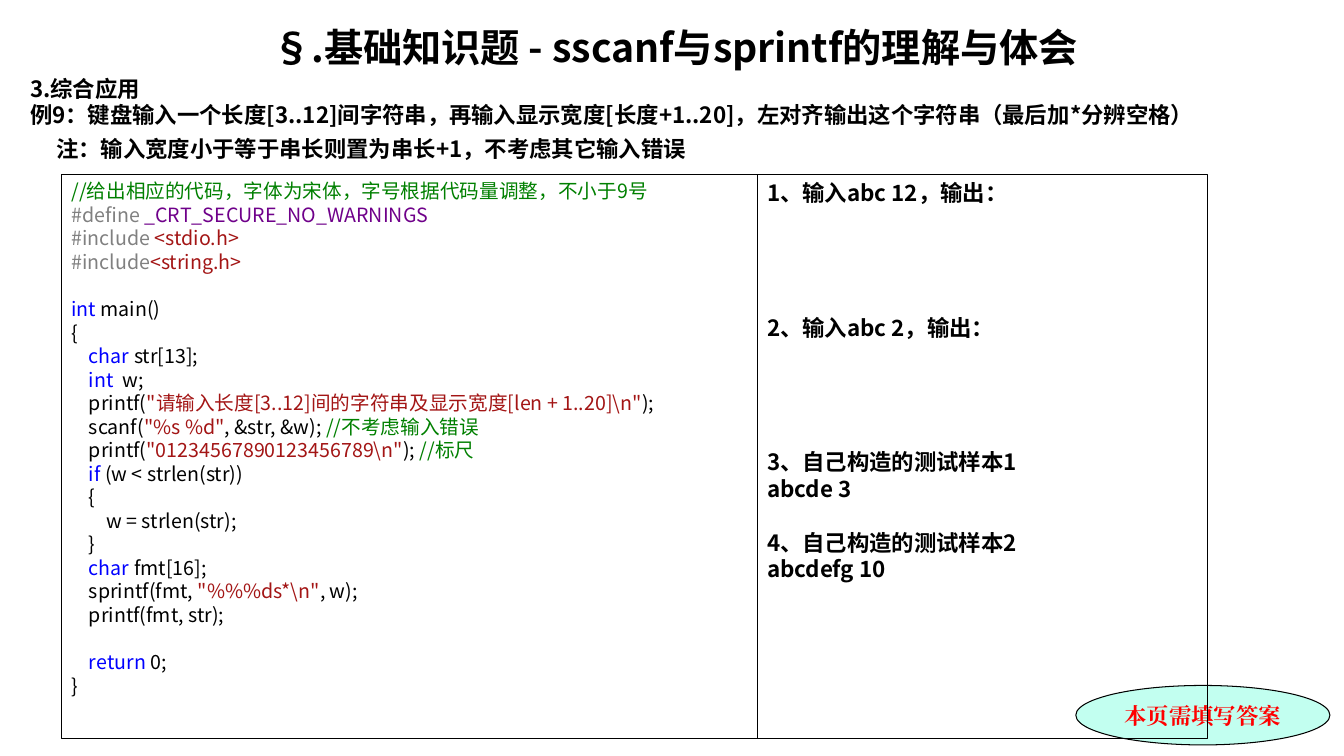
from dataclasses import dataclass
from typing import NamedTuple

from lxml import etree
from pptx import Presentation
from pptx import util as u
from pptx.dml.color import RGBColor
from pptx.enum import shapes, text
from pptx.oxml.ns import qn


@dataclass(frozen=True)
class Theme:
    black: str = "000000"
    red: str = "FF0000"
    mint: str = "C2FFF0"
    comment: str = "008000"
    directive: str = "808080"
    macro: str = "6F008A"
    literal: str = "A31515"
    keyword: str = "0000FF"
    font: str = "Noto Sans CJK SC"
    badge_font: str = "Times New Roman"
    title_size: int = 28
    body_size: int = 16
    code_size: int = 14
    outline: float = 0.75
    pitch: float = 1.2


T = Theme()


class Run(NamedTuple):
    text: str
    color: str = T.black


class Line(NamedTuple):
    runs: tuple[Run, ...]
    size: int = T.body_size
    bold: bool = True
    gap: float = 0
    indent: float = 0
    align: text.PP_ALIGN = text.PP_ALIGN.LEFT
    font: str = T.font


class Box(NamedTuple):
    left: float
    top: float
    width: float
    height: float
    lines: list[Line]
    shape: shapes.MSO_SHAPE | None = None
    fill: str | None = None
    anchor: text.MSO_ANCHOR = text.MSO_ANCHOR.TOP


def code(*runs: Run, gap: float = 0) -> Line:
    return Line(runs, T.code_size, False, gap)


def plain(words: str, **formats) -> Line:
    return Line((Run(words),), **formats)


def kw(words: str) -> Run:
    return Run(words, T.keyword)


def lit(words: str) -> Run:
    return Run(words, T.literal)


def pre(words: str) -> Run:
    return Run(words, T.directive)


def note(words: str) -> Run:
    return Run(words, T.comment)


TAB = Run("    ")

HEADING = [
    plain("§.基础知识题 - sscanf与sprintf的理解与体会",
          size=T.title_size, align=text.PP_ALIGN.CENTER),
    plain("3.综合应用", gap=0.17),
    plain("例9：键盘输入一个长度[3..12]间字符串，再输入显示宽度[长度+1..20]，"
          "左对齐输出这个字符串（最后加*分辨空格）"),
    plain("注：输入宽度小于等于串长则置为串长+1，不考虑其它输入错误",
          gap=0.25, indent=0.26),
]

LISTING = [
    code(note("//给出相应的代码，字体为宋体，字号根据代码量调整，不小于9号")),
    code(pre("#define "), Run("_CRT_SECURE_NO_WARNINGS", T.macro)),
    code(pre("#include "), lit("<stdio.h>")),
    code(pre("#include"), lit("<string.h>")),
    code(kw("int"), Run(" main()"), gap=1),
    code(Run("{")),
    code(TAB, kw("char"), Run(" str[13];")),
    code(TAB, kw("int"), Run("  w;")),
    code(Run("    printf("),
         lit(r'"请输入长度[3..12]间的字符串及显示宽度[len + 1..20]\n"'), Run(");")),
    code(Run("    scanf("), lit('"%s %d"'), Run(", &str, &w); "),
         note("//不考虑输入错误")),
    code(Run("    printf("), lit(r'"01234567890123456789\n"'), Run("); "),
         note("//标尺")),
    code(TAB, kw("if"), Run(" (w < strlen(str))")),
    code(Run("    {")),
    code(Run("        w = strlen(str);")),
    code(Run("    }")),
    code(TAB, kw("char "), Run("fmt[16];")),
    code(Run("    sprintf(fmt, "), lit(r'"%%%ds*\n"'), Run(", w);")),
    code(Run("    printf(fmt, str);")),
    code(TAB, kw("return"), Run(" 0;"), gap=1),
    code(Run("}")),
]

SAMPLES = [
    plain("1、输入abc 12，输出："),
    plain("2、输入abc 2，输出：", gap=4),
    plain("3、自己构造的测试样本1", gap=4),
    plain("abcde 3"),
    plain("4、自己构造的测试样本2", gap=1),
    plain("abcdefg 10"),
]

BADGE = [Line((Run("本页需填写答案", T.red),), align=text.PP_ALIGN.CENTER,
              font=T.badge_font)]

RECT = shapes.MSO_SHAPE.RECTANGLE
BOXES = [
    Box(0.2, 0.18, 12.99, 1.5, HEADING),
    Box(10.67, 6.8, 2.52, 0.59, BADGE, shapes.MSO_SHAPE.OVAL, T.mint,
        text.MSO_ANCHOR.MIDDLE),
    Box(0.61, 1.73, 6.9, 5.6, LISTING, RECT),
    Box(7.51, 1.73, 4.47, 5.6, SAMPLES, RECT),
]


def apply(target, formats: dict) -> None:
    for name, value in formats.items():
        setattr(target, name, value)


def write_line(p, line: Line) -> None:
    pitch = line.size * T.pitch
    apply(p, {"alignment": line.align, "line_spacing": u.Pt(pitch),
              "space_before": u.Pt(line.gap * pitch)})
    if line.indent:
        p._p.get_or_add_pPr().set("marL", str(u.Inches(line.indent)))
    for run in line.runs:
        r = p.add_run()
        r.text = run.text
        apply(r.font, {"size": u.Pt(line.size), "bold": line.bold,
                       "name": line.font})
        r.font.color.rgb = RGBColor.from_string(run.color)
        ea = etree.SubElement(r._r.get_or_add_rPr(), qn("a:ea"))
        ea.set("typeface", line.font)


def draw_box(s, box: Box) -> None:
    at = [u.Inches(v) for v in box[:4]]
    if box.shape is None:
        sp = s.shapes.add_textbox(*at)
    else:
        sp = s.shapes.add_shape(box.shape, *at)
        sp.shadow.inherit = False
        sp.line.color.rgb = RGBColor.from_string(T.black)
        sp.line.width = u.Pt(T.outline)
        if box.fill:
            sp.fill.solid()
            sp.fill.fore_color.rgb = RGBColor.from_string(box.fill)
        else:
            sp.fill.background()
    tf = sp.text_frame
    apply(tf, {"word_wrap": True, "vertical_anchor": box.anchor})
    for i, line in enumerate(box.lines):
        write_line(tf.add_paragraph() if i else tf.paragraphs[0], line)


def main() -> None:
    prs = Presentation()
    apply(prs, {"slide_width": u.Inches(13.33), "slide_height": u.Inches(7.5)})
    s = prs.slides.add_slide(prs.slide_layouts[6])
    for box in BOXES:
        draw_box(s, box)
    prs.save("out.pptx")


if __name__ == "__main__":
    main()
